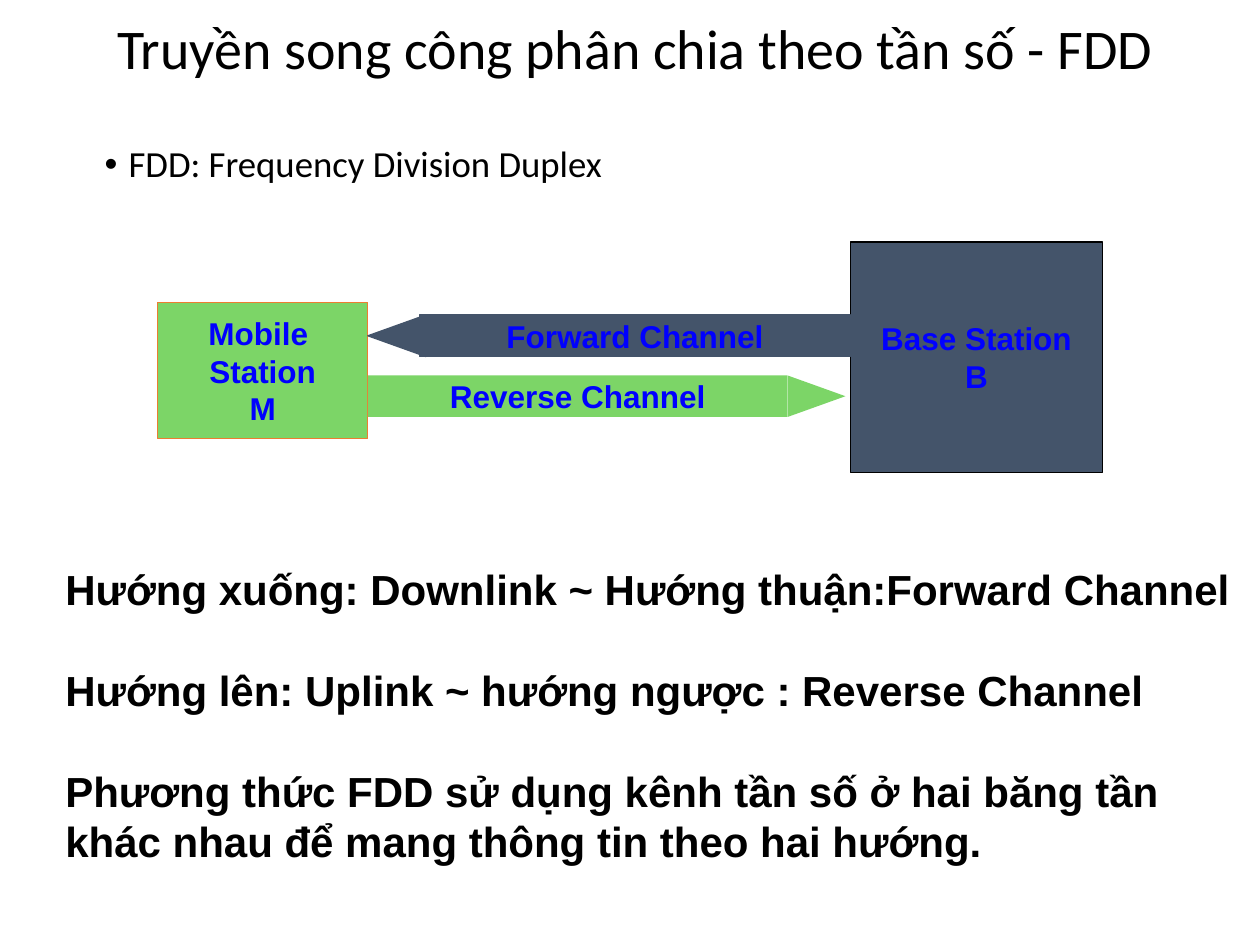
from lxml import etree
from pptx import Presentation
from pptx.dml.color import RGBColor
from pptx.enum.shapes import MSO_SHAPE
from pptx.enum.text import MSO_ANCHOR, MSO_AUTO_SIZE, PP_ALIGN
from pptx.oxml.ns import qn
from pptx.util import Inches, Pt

RECT, TRIANGLE = MSO_SHAPE.RECTANGLE, MSO_SHAPE.ISOSCELES_TRIANGLE
LEFT, CENTER = PP_ALIGN.LEFT, PP_ALIGN.CENTER
TOP, MIDDLE = MSO_ANCHOR.TOP, MSO_ANCHOR.MIDDLE
COLORS = {"text": "000000", "label": "0000FF", "base": "44546A",
          "mobile": "7CD567", "edge": "ED7D31"}


def rgb(name):
    """Return the named colour."""
    return RGBColor.from_string(COLORS[name])


def write(tf, paragraphs, size, font="Arial", color="text", bold=False, align=LEFT,
          anchor=TOP, wrap=True, spacing=1.0, gap=0, inset=(0.1, 0.05)):
    """Fill a text frame with evenly formatted paragraphs."""
    tf.auto_size = MSO_AUTO_SIZE.NONE
    tf.word_wrap = wrap
    tf.vertical_anchor = anchor
    tf.margin_left = tf.margin_right = Inches(inset[0])
    tf.margin_top = tf.margin_bottom = Inches(inset[1])
    for i, text in enumerate(paragraphs):
        p = tf.add_paragraph() if i else tf.paragraphs[0]
        p.text = text
        p.alignment = align
        p.line_spacing = spacing
        p.space_before = Pt(gap if i else 0)
        for r in p.runs:
            r.font.name, r.font.size, r.font.bold = font, Pt(size), bold
            r.font.color.rgb = rgb(color)


def add_bullet(p, indent):
    """Give a paragraph a round bullet with a hanging indent."""
    pPr = p._p.get_or_add_pPr()
    pPr.set("marL", str(Inches(indent)))
    pPr.set("indent", str(-Inches(indent)))
    etree.SubElement(pPr, qn("a:buFont")).set("typeface", "Arial")
    etree.SubElement(pPr, qn("a:buChar")).set("char", "•")


def add_block(s, kind, box, fill, line=None, labels=(), rotation=0):
    """Add a filled shape with optional outline and centred label."""
    sp = s.shapes.add_shape(kind, *map(Inches, box))
    sp.shadow.inherit = False
    sp.rotation = rotation
    sp.fill.solid()
    sp.fill.fore_color.rgb = rgb(fill)
    if line:
        sp.line.color.rgb = rgb(line)
        sp.line.width = Pt(0.74)
    else:
        sp.line.fill.background()
    if labels:
        write(sp.text_frame, labels, 18, color="label", bold=True,
              align=CENTER, anchor=MIDDLE, wrap=False)


def add_title(s, box, text):
    """Place and format the slide title."""
    sp = s.shapes.title
    sp.left, sp.top, sp.width, sp.height = map(Inches, box)
    write(sp.text_frame, [text], 32, font="Calibri", anchor=MIDDLE, spacing=0.9)


def add_text(s, box, paragraphs, size, **fmt):
    """Add a text box and return its text frame."""
    tf = s.shapes.add_textbox(*map(Inches, box)).text_frame
    write(tf, paragraphs, size, **fmt)
    return tf


def add_duplex_diagram(s, box):
    """Draw both stations and the two channels between them."""
    x, y, w, h = box
    base_w, mobile_w, mobile_h = 2, 1.67, 1.08
    bar_h, head = 0.33, 0.46
    base_x, mobile_right = x + w - base_w, x + mobile_w
    add_block(s, RECT, (base_x, y, base_w, h), "base", "text", ["Base Station", "B"])
    add_block(s, RECT, (x, y + 0.48, mobile_w, mobile_h), "mobile", "edge",
              ["Mobile \vStation", "M"])
    channels = [
        ("Forward Channel", 3.33, 3.42, 0.58, "base", "base", mobile_right, 270),
        ("Reverse Channel", mobile_right, 3.33, 1.06, "mobile", None, 6.25, 90),
    ]
    for label, left, width, dy, fill, line, head_x, turn in channels:
        add_block(s, RECT, (left, y + dy, width, bar_h), fill, line, [label])
        tip = (head_x + (head - bar_h) / 2, y + dy + (bar_h - head) / 2, bar_h, head)
        add_block(s, TRIANGLE, tip, fill, line, rotation=turn)


def build():
    """Build the slide and save it."""
    prs = Presentation()
    prs.slide_width, prs.slide_height = Inches(10), Inches(7.5)
    s = prs.slides.add_slide(prs.slide_layouts[5])
    add_title(s, (0.83, 0.08, 9.17, 0.66), "Truyền song công phân chia theo tần số - FDD")
    tf = add_text(s, (0.75, 1.12, 9.25, 0.55), ["FDD: Frequency Division Duplex"], 21,
                  font="Calibri", spacing=0.9, inset=(0.08, 0.04))
    add_bullet(tf.paragraphs[0], 0.19)
    add_duplex_diagram(s, (1.25, 1.92, 7.5, 1.83))
    add_text(s, (0.42, 4.42, 9.58, 2.5), [
        "Hướng xuống: Downlink ~ Hướng thuận:Forward Channel",
        "Hướng lên: Uplink ~ hướng ngược : Reverse Channel",
        "Phương thức FDD sử dụng kênh tần số ở hai băng tần khác nhau "
        "để mang thông tin theo hai hướng.",
    ], 24, bold=True, gap=29)
    prs.save("out.pptx")


build()
